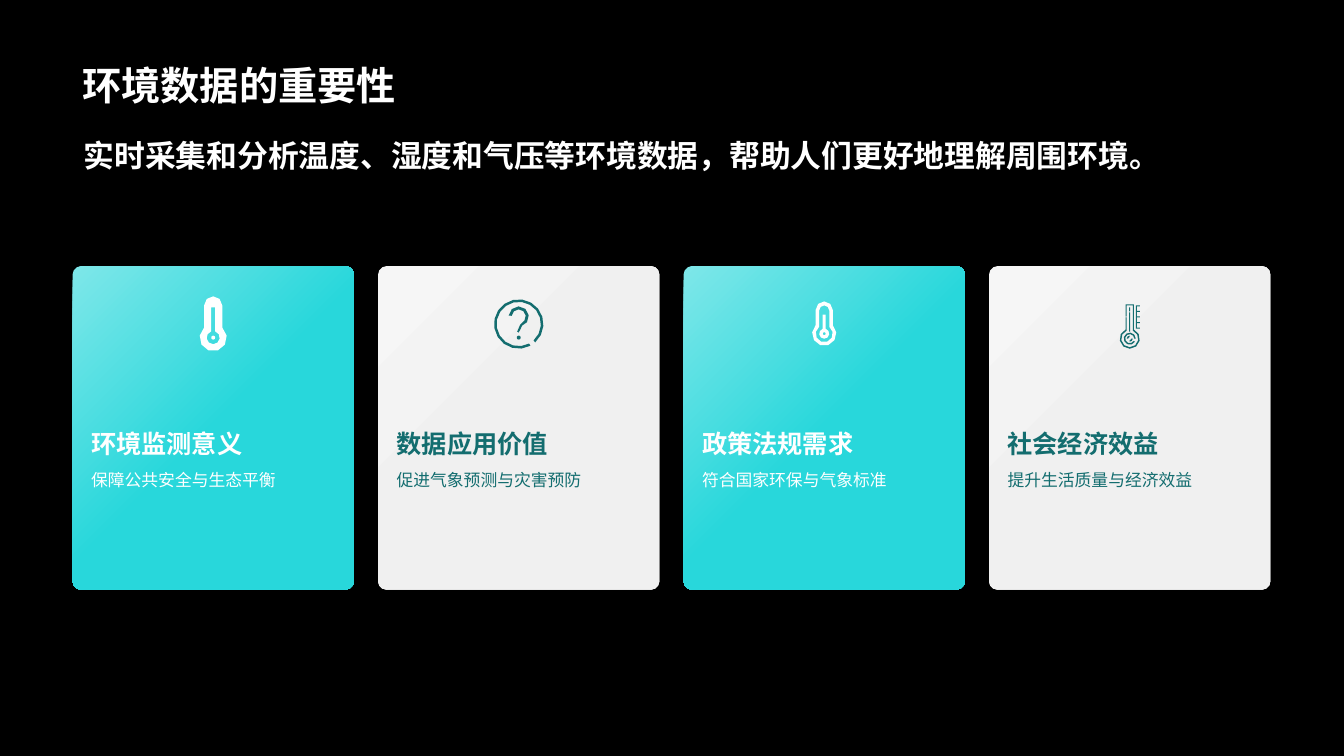
from math import asin, cos, degrees, radians, sin

from lxml import etree
from pptx import Presentation
from pptx.dml.color import RGBColor
from pptx.enum.shapes import MSO_SHAPE
from pptx.enum.text import MSO_ANCHOR
from pptx.oxml.ns import qn
from pptx.util import Inches, Pt

ROUNDED = MSO_SHAPE.ROUNDED_RECTANGLE
TOP, BOTTOM = MSO_ANCHOR.TOP, MSO_ANCHOR.BOTTOM
FONT = "Arial"
WHITE, TEAL = "FFFFFF", "136D6F"
CYAN_STYLE = (("7EE7E9", "28D7DB"), WHITE)
GREY_STYLE = (("F6F6F6", "F0F0F0"), TEAL)
CARD_W, CARD_H, CARD_PITCH = 2.79, 3.21, 3.03


def rgb(value):
    return RGBColor.from_string(value)


def add_text(slide, box, text, size, color, bold=False, anchor=TOP, spacing=None):
    frame = slide.shapes.add_textbox(*map(Inches, box)).text_frame
    frame.word_wrap = True
    frame.vertical_anchor = anchor
    paragraph = frame.paragraphs[0]
    if spacing:
        paragraph.line_spacing = spacing
    run = paragraph.add_run()
    run.text = text
    run.font.name, run.font.size, run.font.bold = FONT, Pt(size), bold
    run.font.color.rgb = rgb(color)
    east_asian = etree.SubElement(run._r.get_or_add_rPr(), qn("a:ea"))
    east_asian.set("typeface", FONT)


# Icon outlines are lists of points, measured from the middle of a card's top edge.
def arc(cx, cy, radius, start, end):
    """Points along an arc; angles run clockwise from the right."""
    step = 22 if radius > 0.2 else 40
    count = max(2, round(abs(end - start) / step))
    angles = [radians(start + (end - start) * i / count) for i in range(count + 1)]
    return [(cx + radius * cos(a), cy + radius * sin(a)) for a in angles]


def dot(cy, radius):
    return arc(0, cy, radius, 0, 320)


def band(cy, outer, inner, start, end):
    return arc(0, cy, outer, start, end) + arc(0, cy, inner, end, start)


def slit(top, bottom, left=-0.005):
    right = left + 0.01
    return [(left, top), (right, top), (right, bottom), (left, bottom)]


def bulb(cy, radius, half, top, rounded=False):
    """Thermometer outline: a round bulb with a tube of the given half width."""
    neck = degrees(asin(half / radius))
    body = arc(0, cy, radius, neck - 90, 270 - neck)
    if rounded:
        return body + arc(0, top + half, half, 180, 360)
    return body + [(-half, top), (half, top)]


def solid_thermometer():
    return [bulb(0.71, 0.135, 0.09, 0.3, True), bulb(0.71, 0.065, 0.02, 0.41),
            dot(0.71, 0.02)]


def question_mark():
    hook = arc(0, 0.5, 0.1, 185, 395)
    stem = [(0.035, 0.59), (0.015, 0.63), (0, 0.66), (-0.015, 0.65), (0.015, 0.58)]
    return [band(0.575, 0.245, 0.22, 62, 408),
            hook + stem + arc(0, 0.5, 0.07, 395, 185), dot(0.71, 0.02)]


def lined_thermometer():
    return [bulb(0.67, 0.12, 0.085, 0.35, True), bulb(0.67, 0.085, 0.05, 0.39, True),
            bulb(0.67, 0.05, 0.015, 0.48), dot(0.67, 0.015)]


def scaled_thermometer():
    ruler = [(0.1, 0.39), (0.06, 0.39), (0.06, 0.62), (0.1, 0.62)]
    for tick in range(4):
        y = 0.61 - 0.055 * tick
        ruler += [(0.1, y), (0.07, y), (0.07, y - 0.045), (0.1, y - 0.045)]
    return [bulb(0.72, 0.1, 0.04, 0.38), bulb(0.72, 0.085, 0.03, 0.39), ruler,
            slit(0.5, 0.51, left=-0.04), slit(0.41, 0.45), slit(0.46, 0.65),
            band(0.72, 0.06, 0.045, 30, 360),
            band(0.72, 0.03, 0.015, 0, 90), band(0.72, 0.03, 0.015, 180, 270)]


def add_icon(slide, center, top, contours, color):
    placed = [[(Inches(center + x), Inches(top + y)) for x, y in contour]
              for contour in contours]
    builder = slide.shapes.build_freeform(*placed[0][0])
    for index, (start, *rest) in enumerate(placed):
        if index:
            builder.move_to(*start)
        builder.add_line_segments(rest, close=True)
    icon = builder.convert_to_shape()
    icon.shadow.inherit = False
    icon.fill.solid()
    icon.fill.fore_color.rgb = rgb(color)
    icon.line.fill.background()


def add_card(slide, left, top, heading, detail, icon, style):
    gradient, ink = style
    card = slide.shapes.add_shape(
        ROUNDED, *map(Inches, (left, top, CARD_W, CARD_H)))
    card.adjustments[0] = 0.03
    card.shadow.inherit = False
    card.line.fill.background()
    card.fill.gradient()
    card.fill.gradient_angle = 315
    for stop, color, position in zip(card.fill.gradient_stops, gradient, (0, 0.5)):
        stop.color.rgb = rgb(color)
        stop.position = position
    text_left, text_width = left + 0.085, CARD_W - 0.17
    add_text(slide, (text_left, top + 1.96, text_width, 1.01), detail, 12, ink,
             spacing=Pt(15))
    add_text(slide, (text_left, top + 1, text_width, 0.96), heading, 18, ink,
             bold=True, anchor=BOTTOM)
    add_icon(slide, left + CARD_W / 2, top, icon(), ink)


def add_header(slide, left, top, width):
    add_text(slide, (left, top, width, 0.98), "环境数据的重要性", 28, WHITE,
             bold=True, anchor=BOTTOM)
    add_text(slide, (left + 0.01, top + 1.09, width, 0.67),
             "实时采集和分析温度、湿度和气压等环境数据，帮助人们更好地理解周围环境。",
             22, WHITE, bold=True, spacing=1.2)


def add_cards(slide, left, top):
    cards = [
        ("环境监测意义", "保障公共安全与生态平衡", solid_thermometer, CYAN_STYLE),
        ("数据应用价值", "促进气象预测与灾害预防", question_mark, GREY_STYLE),
        ("政策法规需求", "符合国家环保与气象标准", lined_thermometer, CYAN_STYLE),
        ("社会经济效益", "提升生活质量与经济效益", scaled_thermometer, GREY_STYLE),
    ]
    for index, card in enumerate(cards):
        add_card(slide, left + CARD_PITCH * index, top, *card)


def main():
    deck = Presentation()
    deck.slide_width, deck.slide_height = Inches(13.33), Inches(7.5)
    slide = deck.slides.add_slide(deck.slide_layouts[6])
    slide.background.fill.solid()
    slide.background.fill.fore_color.rgb = rgb("000000")
    add_header(slide, 0.72, 0.14, 11.88)
    add_cards(slide, 0.72, 2.64)
    deck.save("out.pptx")


if __name__ == "__main__":
    main()
